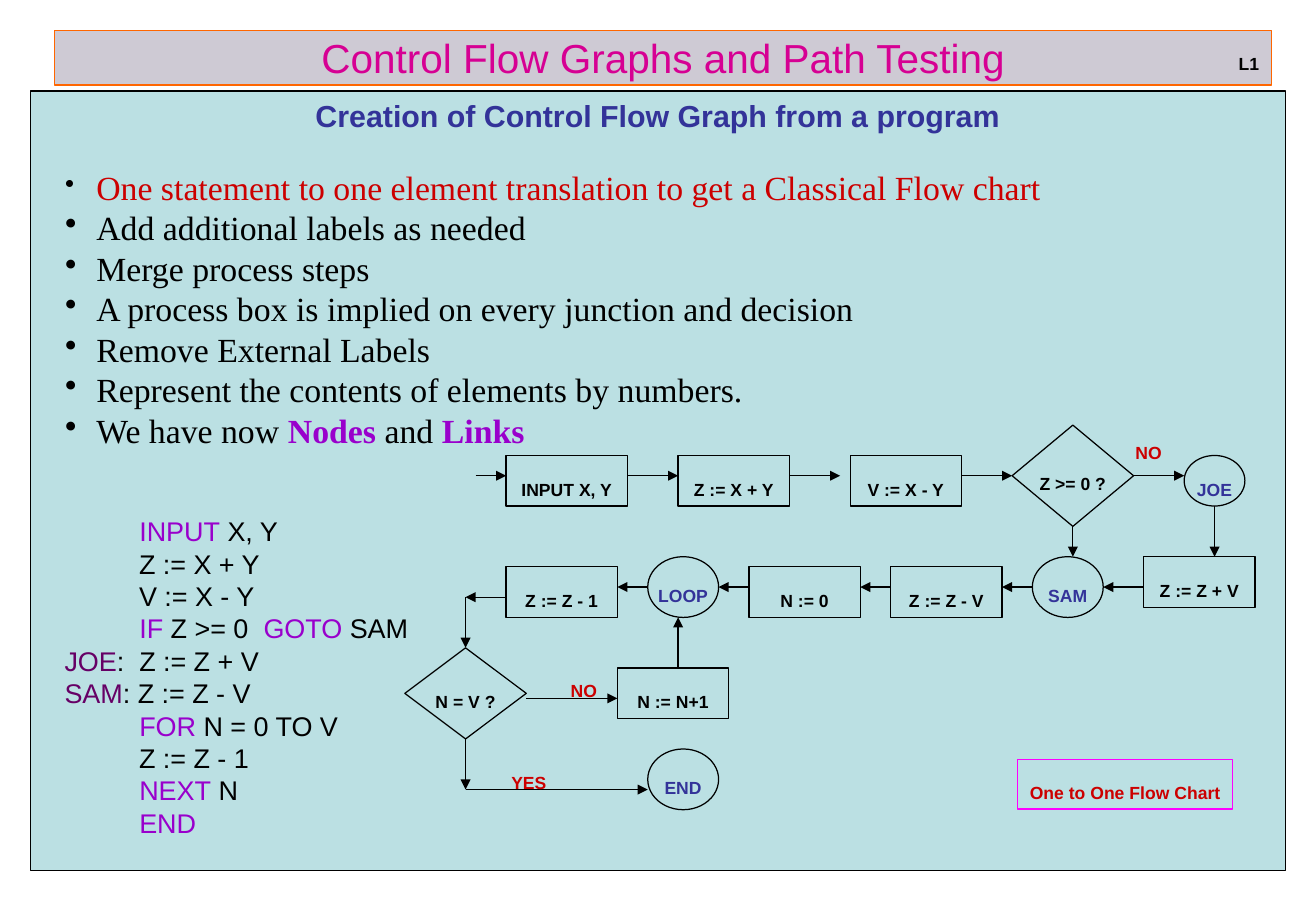
from lxml import etree
from pptx import Presentation
from pptx.dml.color import RGBColor
from pptx.enum.shapes import MSO_CONNECTOR, MSO_SHAPE
from pptx.enum.text import MSO_ANCHOR, MSO_AUTO_SIZE, PP_ALIGN
from pptx.oxml.ns import qn
from pptx.util import Pt

RECTANGLE, DIAMOND, OVAL = MSO_SHAPE.RECTANGLE, MSO_SHAPE.DIAMOND, MSO_SHAPE.OVAL
STRAIGHT = MSO_CONNECTOR.STRAIGHT
LEFT, CENTER = PP_ALIGN.LEFT, PP_ALIGN.CENTER
TOP, MIDDLE = MSO_ANCHOR.TOP, MSO_ANCHOR.MIDDLE
FIT_TEXT = MSO_AUTO_SIZE.SHAPE_TO_FIT_TEXT

BLACK, PANEL, RED, BLUE = "000000", "BBE0E3", "CC0000", "333399"
PURPLE, PLUM = "9900CC", "660066"
INDENT = " " * 10  # leading spaces of the program lines

BULLETS = [
    [("One statement to one element translation to get a Classical Flow chart", RED)],
    [("Add additional labels as needed", BLACK)],
    [("Merge process steps", BLACK)],
    [("A process box is implied on every junction and decision", BLACK)],
    [("Remove External Labels", BLACK)],
    [("Represent the contents of elements by numbers.", BLACK)],
    [("We have now ", BLACK), ("Nodes", PURPLE), (" and ", BLACK), ("Links", PURPLE)],
]

PROGRAM = [
    [(INDENT, BLACK), ("INPUT", PURPLE), (" X, Y", BLACK)],
    [(INDENT + "Z := X + Y", BLACK)],
    [(INDENT + "V := X - Y", BLACK)],
    [(INDENT, BLACK), ("IF", PURPLE), (" Z >= 0  ", BLACK), ("GOTO", PURPLE), (" SAM", BLACK)],
    [("JOE", PLUM), (":  Z := Z + V", BLACK)],
    [("SAM", PLUM), (": Z := Z - V", BLACK)],
    [(INDENT, BLACK), ("FOR", PURPLE), (" N = 0 TO V", BLACK)],
    [(INDENT + "Z := Z - 1", BLACK)],
    [(INDENT, BLACK), ("NEXT", PURPLE), (" N", BLACK)],
    [(INDENT, BLACK), ("END", PURPLE)],
]

# Text, left, top
PROCESSES = [
    ("Z := X + Y", 402, 270), ("V := X - Y", 504, 270), ("Z := Z + V", 678, 330),
    ("Z := Z - V", 528, 336), ("N := 0", 444, 336), ("Z := Z - 1", 300, 336),
    ("N := N+1", 366, 396),
]
JUNCTIONS = [("SAM", 612, 330), ("LOOP", 384, 330), ("END", 384, 444)]

# Text, left, top, width
BRANCH_LABELS = [("NO", 666, 248.4, 31), ("NO", 331.2, 390, 31), ("YES", 296, 444, 37)]

# Start x, start y, end x, end y
ARROWS = [
    (282, 282, 300, 282), (372, 282, 402, 282), (468, 282, 498, 282),
    (570, 282, 600, 282), (672, 282, 702, 282),
    (636, 312, 636, 330), (720, 300, 720, 330),
    (678, 348, 654, 348), (612, 348, 594, 348), (528, 348, 510, 348),
    (444, 348, 426, 348), (384, 348, 366, 348),
    (300, 354, 276, 354), (276, 354, 276, 384),
    (312, 414, 366, 414), (402, 396, 402, 366),
    (276, 438, 276, 468), (276, 468, 384, 468),
]


def rgb(color):
    return RGBColor.from_string(color)


def add_text(paragraph, text, size=18, color=BLACK, bold=False, font="Arial", baseline=None):
    run = paragraph.add_run()
    run.text = text
    run.font.size = Pt(size)
    run.font.name = font
    run.font.bold = bold
    run.font.color.rgb = rgb(color)
    if baseline is not None:
        run._r.get_or_add_rPr().set("baseline", str(baseline))


def add_box(slide, kind, left, top, width, height, fill=PANEL, line=BLACK):
    shape = slide.shapes.add_shape(kind, Pt(left), Pt(top), Pt(width), Pt(height))
    shape.shadow.inherit = False
    if fill:
        shape.fill.solid()
        shape.fill.fore_color.rgb = rgb(fill)
    else:
        shape.fill.background()
    shape.line.color.rgb = rgb(line)
    shape.line.width = Pt(0.75)
    return shape


def add_text_box(slide, left, top, width, height):
    box = slide.shapes.add_textbox(Pt(left), Pt(top), Pt(width), Pt(height))
    box.text_frame.word_wrap = True
    return box


def write_label(shape, text, color=BLACK, align=CENTER, anchor=MIDDLE):
    """Write one bold, lowered line that does not wrap."""
    frame = shape.text_frame
    frame.word_wrap = False
    frame.vertical_anchor = anchor
    if anchor == TOP:
        frame.auto_size = FIT_TEXT
    paragraph = frame.paragraphs[0]
    paragraph.alignment = align
    add_text(paragraph, text, color=color, bold=True, baseline=-12000)


def add_node(slide, kind, text, left, top, width, height, color=BLACK):
    write_label(add_box(slide, kind, left, top, width, height), text, color)


def add_label(slide, text, left, top, width, color):
    write_label(add_text_box(slide, left, top, width, 29.5), text, color, LEFT, TOP)


def add_arrow(slide, *ends):
    arrow = slide.shapes.add_connector(STRAIGHT, *[Pt(value) for value in ends])
    arrow.line.color.rgb = rgb(BLACK)
    arrow.line.width = Pt(0.75)
    etree.SubElement(arrow.line._get_or_add_ln(), qn("a:tailEnd"), type="triangle")
    etree.SubElement(arrow._element.spPr, qn("a:effectLst"))


def add_bullet(properties, percent):
    color = etree.SubElement(properties, qn("a:buClr"))
    etree.SubElement(color, qn("a:srgbClr"), val=BLACK)
    etree.SubElement(properties, qn("a:buSzPct"), val=str(percent * 1000))
    etree.SubElement(properties, qn("a:buChar"), char="•")


def add_lines(slide, lines, left, top, width, height, size, font, bulleted=False):
    frame = add_text_box(slide, left, top, width, height).text_frame
    for index, runs in enumerate(lines):
        paragraph = frame.add_paragraph() if index else frame.paragraphs[0]
        if bulleted:
            properties = paragraph._p.get_or_add_pPr()
            properties.set("marL", str(Pt(32)))
            properties.set("indent", str(Pt(-18.5)))
            add_bullet(properties, 100 if index else 80)
        for text, color in runs:
            emphasized = bulleted and color == PURPLE
            add_text(paragraph, text, size=size, color=color, bold=emphasized, font=font)


def add_header(slide):
    title = add_box(slide, RECTANGLE, 32.4, 18, 721.4, 32.4, fill="CECAD4", line="FF6600")
    title.text_frame.vertical_anchor = MIDDLE
    paragraph = title.text_frame.paragraphs[0]
    paragraph.alignment = CENTER
    add_text(paragraph, "Control Flow Graphs and Path Testing", size=24, color="D60093")
    add_box(slide, RECTANGLE, 18, 54, 744, 462)
    add_label(slide, "L1", 727.2, 18, 27, BLACK)

    heading = add_text_box(slide, 24, 54, 732, 28).text_frame.paragraphs[0]
    heading.alignment = CENTER
    add_text(heading, "Creation of Control Flow Graph from a program", color=BLUE, bold=True)


def add_flow_chart(slide):
    for ends in ARROWS:
        add_arrow(slide, *ends)
    add_node(slide, RECTANGLE, "INPUT X, Y", 300, 270, 72, 30)
    for text, left, top in PROCESSES:
        add_node(slide, RECTANGLE, text, left, top, 66, 30)
    add_node(slide, DIAMOND, "Z >= 0 ?", 600, 252, 72, 60)
    add_node(slide, DIAMOND, "N = V ?", 240, 384, 72, 54)
    add_node(slide, OVAL, "JOE", 702, 270, 36, 30, color=BLUE)
    for text, left, top in JUNCTIONS:
        add_node(slide, OVAL, text, left, top, 42, 36, color=BLUE)
    for text, left, top, width in BRANCH_LABELS:
        add_label(slide, text, left, top, width, RED)
    caption = add_box(slide, RECTANGLE, 603.4, 450, 127.4, 29.5, fill=None, line="FF00FF")
    write_label(caption, "One to One Flow Chart", RED, LEFT, TOP)


def main():
    presentation = Presentation()
    presentation.slide_width, presentation.slide_height = Pt(780.13), Pt(540)
    slide = presentation.slides.add_slide(presentation.slide_layouts[6])
    add_header(slide)
    add_lines(slide, BULLETS, 18, 95.3, 732, 175, 20, "Times New Roman", bulleted=True)
    add_lines(slide, PROGRAM, 31.2, 301.6, 224, 198, 16, "Arial")
    add_flow_chart(slide)
    presentation.save("out.pptx")


if __name__ == "__main__":
    main()
